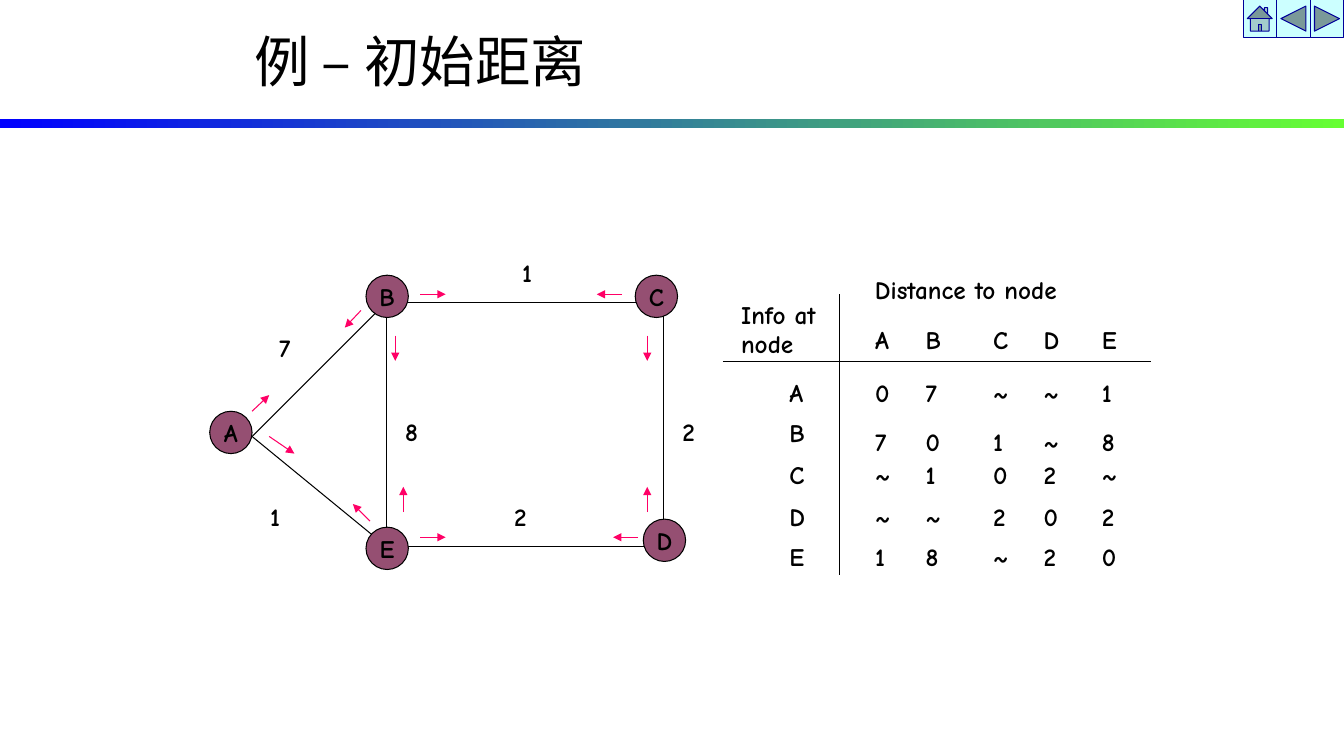
"""Build the slide of initial distances: a weighted graph beside its distance table."""
from lxml import etree
from pptx import Presentation
from pptx.dml.color import RGBColor
from pptx.enum import shapes as kinds, text as txt
from pptx.oxml.ns import qn
from pptx.util import Inches, Pt

BLACK = RGBColor(0, 0, 0)
PLUM = RGBColor(0x95, 0x4F, 0x72)
PINK = RGBColor(0xFF, 0x00, 0x66)
PALE = RGBColor(0xCC, 0xFF, 0xFF)
NAVY = RGBColor(0x00, 0x00, 0x99)
BLUE = RGBColor(0x00, 0x00, 0xFF)
LIME = RGBColor(0x66, 0xFF, 0x33)
FORM = {"name": "Comic Neue", "size": Pt(18), "bold": True}
NONE = "{2D5ABB26-0587-4C30-8999-92F81FD0307C}"


def write(frame, words, align=txt.PP_ALIGN.LEFT):
    frame.text = words
    for para in frame.paragraphs:
        para.alignment = align
        for key, value in FORM.items():
            setattr(para.font, key, value)
        para.font.color.rgb = BLACK


def link(x1, y1, x2, y2, color):
    line = slide.shapes.add_connector(
        kinds.MSO_CONNECTOR.STRAIGHT, *map(Inches, (x1, y1, x2, y2)))
    line.line.color.rgb = color
    line.line.width = Pt(0.75)
    etree.SubElement(line._element.spPr, qn("a:effectLst"))
    return line


deck = Presentation()
deck.slide_width, deck.slide_height = Inches(13.33), Inches(7.5)
slide = deck.slides.add_slide(deck.slide_layouts[5])
AUTO = kinds.MSO_SHAPE

title = slide.shapes.title
title.left, title.top = Inches(2.42), Inches(0.29)
title.width, title.height = Inches(8.5), Inches(0.71)
title.text_frame.vertical_anchor = txt.MSO_ANCHOR.MIDDLE
head = title.text_frame.paragraphs[0]
head.alignment = txt.PP_ALIGN.LEFT
head.line_spacing = 0.9
for words, face in [("例 ", "Calibri"), ("– ", "Comic Neue"), ("初始距离", "Calibri")]:
    run = head.add_run()
    run.text = words
    run.font.name, run.font.size = face, Pt(39.6)
    run.font.color.rgb = BLACK

bar = slide.shapes.add_shape(AUTO.RECTANGLE, 0, Inches(1.18), Inches(13.33), Inches(0.09))
bar.shadow.inherit = False
bar.line.fill.background()
bar.fill.gradient()
bar.fill.gradient_angle = 0
for stop, color, place in zip(bar.fill.gradient_stops, (BLUE, LIME), (0, 1)):
    stop.color.rgb, stop.position = color, place

buttons = [AUTO.ACTION_BUTTON_HOME, AUTO.ACTION_BUTTON_BACK_OR_PREVIOUS,
           AUTO.ACTION_BUTTON_FORWARD_OR_NEXT]
parts = [(kind, 12.33 + i / 3, 0, 0.33, 0.37, PALE, NAVY, "")
         for i, kind in enumerate(buttons)]
parts.append((AUTO.RECTANGLE, 3.83, 3, 2.75, 2.42, None, BLACK, ""))
nodes = {"A": (2.08, 4.08), "B": (3.63, 2.73), "E": (3.63, 5.23),
         "C": (6.3, 2.73), "D": (6.38, 5.15)}
for y in (3, 5.42):
    link(3.83, y, 2.5, 4.33, BLACK)
parts += [(AUTO.OVAL, x, y, 0.42, 0.42, PLUM, BLACK, name)
          for name, (x, y) in nodes.items()]
for kind, x, y, w, h, fill, edge, words in parts:
    shape = slide.shapes.add_shape(kind, *map(Inches, (x, y, w, h)))
    shape.shadow.inherit = False
    if fill is None:
        shape.fill.background()
    else:
        shape.fill.solid()
        shape.fill.fore_color.rgb = fill
    shape.line.color.rgb = edge
    shape.line.width = Pt(0.75)
    if words:
        frame = shape.text_frame
        frame.word_wrap = False
        frame.vertical_anchor = txt.MSO_ANCHOR.MIDDLE
        frame.margin_left = frame.margin_right = 0
        frame.margin_top = frame.margin_bottom = 0
        write(frame, words, txt.PP_ALIGN.CENTER)

labels = [("7", 2.67, 3.25, 0.35), ("1", 2.58, 4.92, 0.35), ("1", 5.08, 2.5, 0.35),
          ("2", 5, 4.92, 0.35), ("2", 6.67, 4.08, 0.35), ("8", 3.92, 4.08, 0.35),
          ("Distance to node", 8.58, 2.67, 2.24)]
for words, x, y, w in labels:
    box = slide.shapes.add_textbox(*map(Inches, (x, y, w, 0.4)))
    box.text_frame.word_wrap = False
    write(box.text_frame, words)

arrows = [(4.17, 2.92, 4.42, 2.92), (4.17, 5.33, 4.42, 5.33),
          (6.17, 2.92, 5.92, 2.92), (6.33, 5.33, 6.08, 5.33),
          (3.92, 3.33, 3.92, 3.58), (6.42, 3.33, 6.42, 3.58),
          (6.42, 5.08, 6.42, 4.83), (4, 5.08, 4, 4.83),
          (3.67, 5.17, 3.5, 5), (2.67, 4.33, 2.92, 4.5),
          (2.5, 4.08, 2.67, 3.92), (3.58, 3.08, 3.42, 3.25)]
for ends in arrows:
    arrow = link(*ends, PINK)
    etree.SubElement(arrow.line._get_or_add_ln(), qn("a:tailEnd"), type="triangle")

rows = [["Info at\nnode", *"ABCDE"], "A07~~1", "B701~8", "C~102~", "D~~202", "E18~20"]
wide = [1.16, 0.85, 0.67, 0.5, 0.58, 0.49]
tall = [0.66, 0.55, 0.42, 0.42, 0.41, 0.3]
lefts = [0.66, 0.35, 0, 0, 0, 0]
tops = [0.32, 0.18, 0.11, 0.02, 0.02, 0.01]
frame = slide.shapes.add_table(
    6, 6, *map(Inches, (7.17, 2.92, sum(wide), sum(tall))))
grid = frame.table
grid.first_row = grid.horz_banding = False
grid._tbl.tblPr.find(qn("a:tableStyleId")).text = NONE
for i in range(6):
    grid.columns[i].width = Inches(wide[i])
    grid.rows[i].height = Inches(tall[i])
for r, row in enumerate(rows):
    for c, words in enumerate(row):
        cell = grid.cell(r, c)
        write(cell.text_frame, words)
        cell.vertical_anchor = txt.MSO_ANCHOR.TOP
        cell.margin_left, cell.margin_top = Inches(lefts[c]), Inches(tops[r])
        cell.margin_right = cell.margin_bottom = 0
        if r == c == 0:
            cell.margin_left, cell.margin_top = Inches(0.18), Inches(0.07)
        elif (r, c) == (2, 0):
            cell.margin_top = Inches(0.02)
        props = cell._tc.get_or_add_tcPr()
        for side, drawn in [("a:lnL", c == 1), ("a:lnR", c == 0),
                            ("a:lnT", r == 1), ("a:lnB", r == 0)]:
            rule = etree.SubElement(props, qn(side), w="9525")
            if drawn:
                ink = etree.SubElement(rule, qn("a:solidFill"))
                etree.SubElement(ink, qn("a:srgbClr"), val=str(BLACK))
            else:
                etree.SubElement(rule, qn("a:noFill"))
        cell.fill.background()

deck.save("out.pptx")
